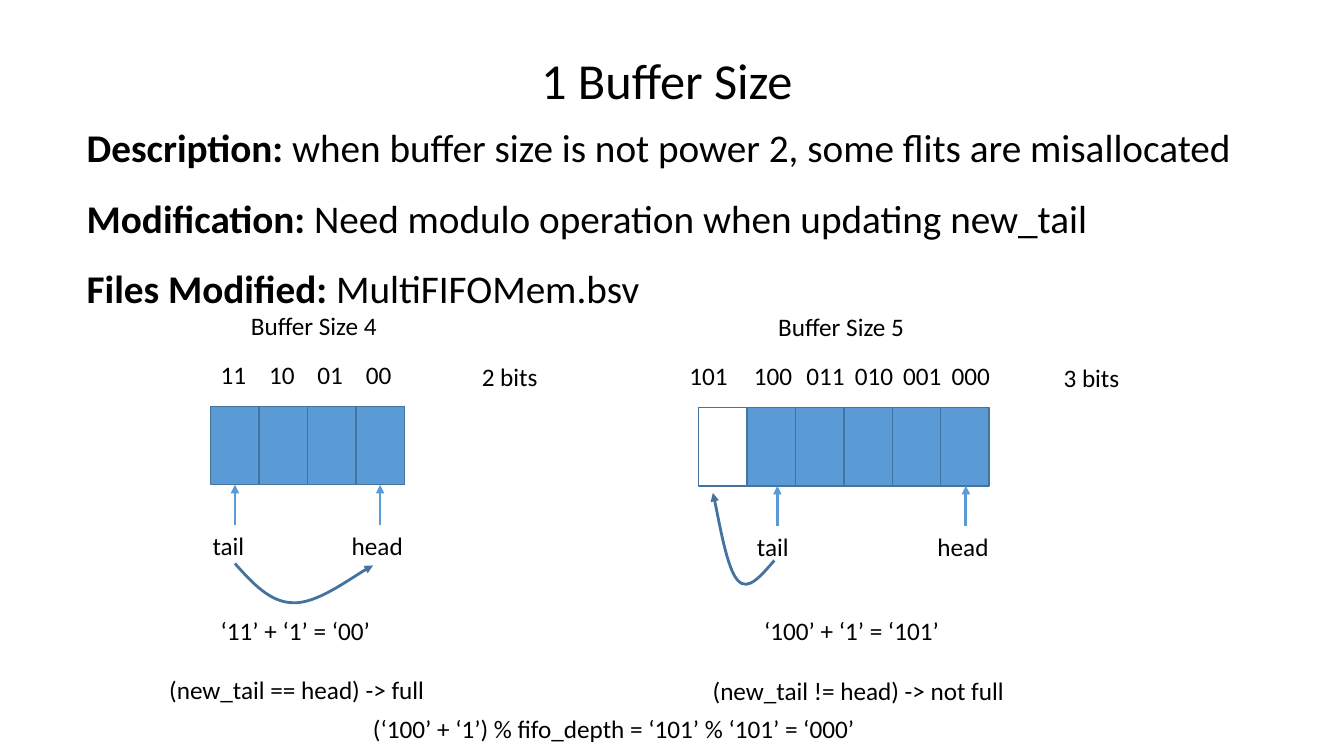
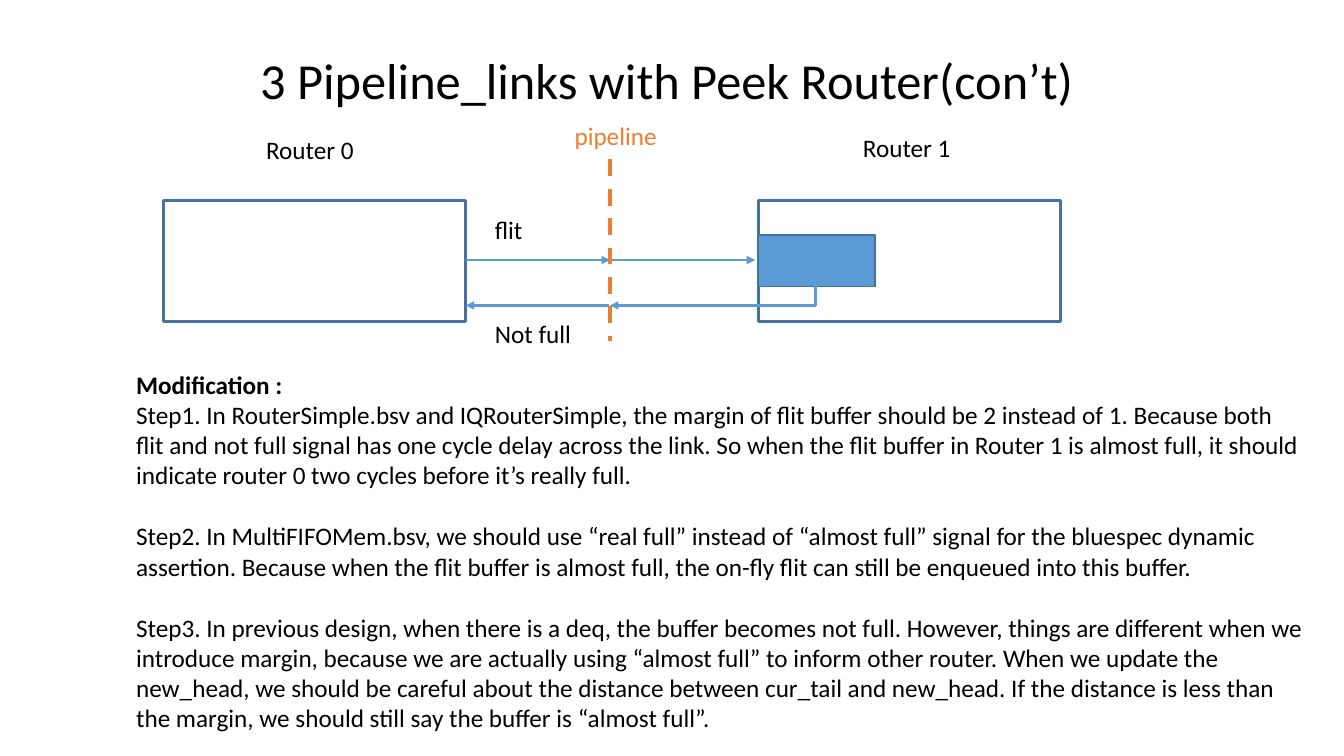
"""Build two slides on buffer size and pipelined router links."""
import pptx
import pptx.util
import pptx.dml.color
import pptx.enum.dml
import pptx.enum.shapes
import pptx.enum.text
import pptx.oxml
import pptx.oxml.ns
import lxml.etree

Inches = pptx.util.Inches
Pt = pptx.util.Pt
RGBColor = pptx.dml.color.RGBColor
qn = pptx.oxml.ns.qn

BLACK = RGBColor(0x00, 0x00, 0x00)
BLUE = RGBColor(0x5B, 0x9B, 0xD5)
EDGE = RGBColor(0x43, 0x73, 0x9E)
ORANGE = RGBColor(0xED, 0x7D, 0x31)
FONT = "Calibri"
CELL = 0.48
LINK = pptx.enum.shapes.MSO_CONNECTOR


def add_run(para, text, size=18, color=BLACK, bold=False):
    run = para.add_run()
    run.text = text
    run.font.name = FONT
    run.font.size = Pt(size)
    run.font.bold = bold
    run.font.color.rgb = color


def place(shape, left, top, width, height):
    shape.left, shape.top = Inches(left), Inches(top)
    shape.width, shape.height = Inches(width), Inches(height)
    frame = shape.text_frame
    frame.word_wrap = True
    frame.auto_size = pptx.enum.text.MSO_AUTO_SIZE.NONE
    frame.vertical_anchor = pptx.enum.text.MSO_ANCHOR.TOP
    return frame


def start_slide(deck, title):
    slide = deck.slides.add_slide(deck.slide_layouts[1])
    para = place(slide.shapes.title, 2.31, 0.44, 8.61, 0.71).paragraphs[0]
    para.alignment = pptx.enum.text.PP_ALIGN.CENTER
    add_run(para, title, 36)
    return slide


def fill_body(slide, box, items, size, spacing, gaps):
    frame = place(slide.placeholders[1], *box)
    for index, (runs, gap) in enumerate(zip(items, gaps)):
        para = frame.paragraphs[0] if index == 0 else frame.add_paragraph()
        props = para._p.get_or_add_pPr()
        props.set("marL", "0")
        props.set("indent", "0")
        lxml.etree.SubElement(props, qn("a:buNone"))
        para.line_spacing = spacing
        para.space_before = Pt(gap)
        for text, bold in runs:
            add_run(para, text, size, bold=bold)


def add_label(slide, text, left, top, width, color=BLACK):
    box = slide.shapes.add_textbox(0, 0, 0, 0)
    frame = place(box, left, top, width, 0.4)
    add_run(frame.paragraphs[0], text, color=color)


def add_box(slide, left, top, width, height, fill=None, weight=1):
    box = slide.shapes.add_shape(
        pptx.enum.shapes.MSO_SHAPE.RECTANGLE,
        Inches(left), Inches(top), Inches(width), Inches(height))
    box.shadow.inherit = False
    if fill is None:
        box.fill.background()
    else:
        box.fill.solid()
        box.fill.fore_color.rgb = fill
    box.line.color.rgb = EDGE
    box.line.width = Pt(weight)


def add_head(shape):
    edge = shape._element.spPr.find(qn("a:ln"))
    lxml.etree.SubElement(edge, qn("a:tailEnd"), type="triangle")


def add_line(slide, start, end, color=BLUE, weight=2, kind=LINK.STRAIGHT):
    line = slide.shapes.add_connector(
        kind, *(Inches(value) for value in (*start, *end)))
    line.line.color.rgb = color
    line.line.width = Pt(weight)
    lxml.etree.SubElement(line._element.spPr, qn("a:effectLst"))
    return line


def add_arrow(slide, start, end):
    add_head(add_line(slide, start, end))


def add_elbow(slide, start, end):
    mid_x, mid_y = (start[0] + end[0]) / 2, (start[1] + end[1]) / 2
    half_w, half_h = (end[1] - start[1]) / 2, (start[0] - end[0]) / 2
    line = add_line(slide, (mid_x - half_w, mid_y - half_h),
                    (mid_x + half_w, mid_y + half_h), kind=LINK.ELBOW)
    line.rotation = 90
    line._element.spPr.find(qn("a:prstGeom")).set("prst", "bentConnector2")
    add_head(line)


def add_curve(slide, points):
    spots = [(Inches(x), Inches(y)) for x, y in points]
    pen = slide.shapes.build_freeform(*spots[0])
    pen.add_line_segments(spots[1:], close=False)
    curve = pen.convert_to_shape()
    curve.shadow.inherit = False
    curve.fill.background()
    curve.line.color.rgb = EDGE
    curve.line.width = Pt(2)
    steps = list(curve._element.iter(qn("a:lnTo")))
    route = steps[0].getparent()
    for index in range(0, len(steps), 3):
        bend = lxml.etree.SubElement(route, qn("a:cubicBezTo"))
        for step in steps[index:index + 3]:
            bend.append(step[0])
            route.remove(step)
    add_head(curve)


def add_queue(slide, left, top, fills, codes, marks):
    for index, fill in enumerate(fills):
        add_box(slide, left + index * CELL, top, CELL, 0.78, fill)
    for code, spot in codes:
        add_label(slide, code, spot, top - 0.51, 0.66)
    for name, spot, tip in marks:
        add_label(slide, name, spot, top + 1.18, 0.77)
        add_arrow(slide, (tip, top + 1.18), (tip, top + 0.78))


def draw_buffer(deck):
    slide = start_slide(deck, "1 Buffer Size")
    fill_body(slide, (0.76, 0.94, 12.33, 2.22), [
        [("Description: ", True),
         ("when buffer size is not power 2, some flits are misallocated", False)],
        [("Modification: ", True),
         ("Need modulo operation when updating new_tail", False)],
        [("Files Modified: ", True), ("MultiFIFOMem.bsv", False)],
    ], 28, 1.5, (0, 0, 0))
    add_queue(
        slide, 2.09, 4.03, [BLUE] * 4,
        [(code, 2.09 + index * CELL)
         for index, code in enumerate(("11", "10", "01", "00"))],
        [("head", 3.39, 3.77), ("tail", 2.01, 2.33)])
    add_queue(
        slide, 6.93, 4.04, [None] + [BLUE] * 5,
        [("101", 6.74), ("100", 7.38)] +
        [(code, 7.9 + index * CELL)
         for index, code in enumerate(("011", "010", "001", "000"))],
        [("head", 9.2, 9.58), ("tail", 7.41, 7.71)])
    add_curve(slide, [(2.33, 5.59), (2.5, 5.78), (2.68, 5.98), (2.91, 5.98),
                      (3.14, 5.99), (3.54, 5.69), (3.7, 5.61)])
    add_curve(slide, [(7.68, 5.56), (7.55, 5.71), (7.42, 5.87), (7.32, 5.76),
                      (7.21, 5.65), (7.11, 5.04), (7.07, 4.89)])
    for label in (
        ("Buffer Size 4", 2.39, 3.03, 2.29),
        ("2 bits", 4.68, 3.54, 1.38),
        ("‘11’ + ‘1’ = ‘00’", 2.09, 6.06, 2.07),
        ("(new_tail == head) -> full", 1.58, 6.64, 3.43),
        ("Buffer Size 5", 7.62, 3.04, 2.29),
        ("3 bits", 10.45, 3.55, 1.38),
        ("‘100’ + ‘1’ = ‘101’", 7.48, 6.06, 2.07),
        ("(new_tail != head) -> not full", 6.97, 6.65, 3.43),
        ("(‘100’ + ‘1’) % fifo_depth = ‘101’ % ‘101’ = ‘000’", 3.6, 7.03, 7.32),
    ):
        add_label(slide, *label)


def draw_links(deck):
    slide = start_slide(deck, "3 Pipeline_links with Peek Router(con’t)")
    fill_body(slide, (1.25, 3.61, 11.8, 3.74), [
        [("Modification :", True)],
        [("Step1. In RouterSimple.bsv and IQRouterSimple, the margin of flit "
          "buffer should be 2 instead of 1. Because both flit and not full "
          "signal has one cycle delay across the link. So when the flit buffer "
          "in Router 1 is almost full, it should indicate router 0 two cycles "
          "before it’s really full.", False)],
        [("Step2. In MultiFIFOMem.bsv, we should use “real full” instead of "
          "“almost full” signal for the bluespec dynamic assertion. Because "
          "when the flit buffer is almost full, the on-fly flit can still be "
          "enqueued into this buffer.", False)],
        [("Step3. In previous design, when there is a deq, the buffer becomes "
          "not full. However, things are different when we introduce margin, "
          "because we are actually using “almost full” to inform other router. "
          "When we update the new_head, we should be careful about the "
          "distance between cur_tail and new_head. If the distance is less "
          "than the margin, we should still say the buffer is “almost full”.",
          False)],
    ], 18, 1.0, (0, 0, 22, 22))
    for left in (1.62, 7.52):
        add_box(slide, left, 1.99, 3, 1.2, weight=2)
    add_box(slide, 7.52, 2.33, 1.16, 0.51, BLUE)
    add_arrow(slide, (4.62, 2.58), (6.05, 2.58))
    add_arrow(slide, (6.05, 2.58), (7.49, 2.58))
    add_elbow(slide, (8.09, 2.84), (6.05, 3.03))
    add_arrow(slide, (6.04, 3.03), (4.62, 3.03))
    for label in (
        ("Router 0", 2.54, 1.28, 1.22),
        ("Router 1", 8.46, 1.26, 1.22),
        ("flit", 4.81, 2.08, 1.22),
        ("Not full", 4.81, 3.11, 1.22),
        ("pipeline", 5.6, 1.14, 1.55, ORANGE),
    ):
        add_label(slide, *label)
    stage = add_line(slide, (6.05, 1.58), (6.05, 3.38), ORANGE, 3)
    stage.line.dash_style = pptx.enum.dml.MSO_LINE.DASH


def main():
    deck = pptx.Presentation()
    deck.slide_width, deck.slide_height = Inches(13.33), Inches(7.5)
    draw_buffer(deck)
    draw_links(deck)
    deck.save("out.pptx")


main()
